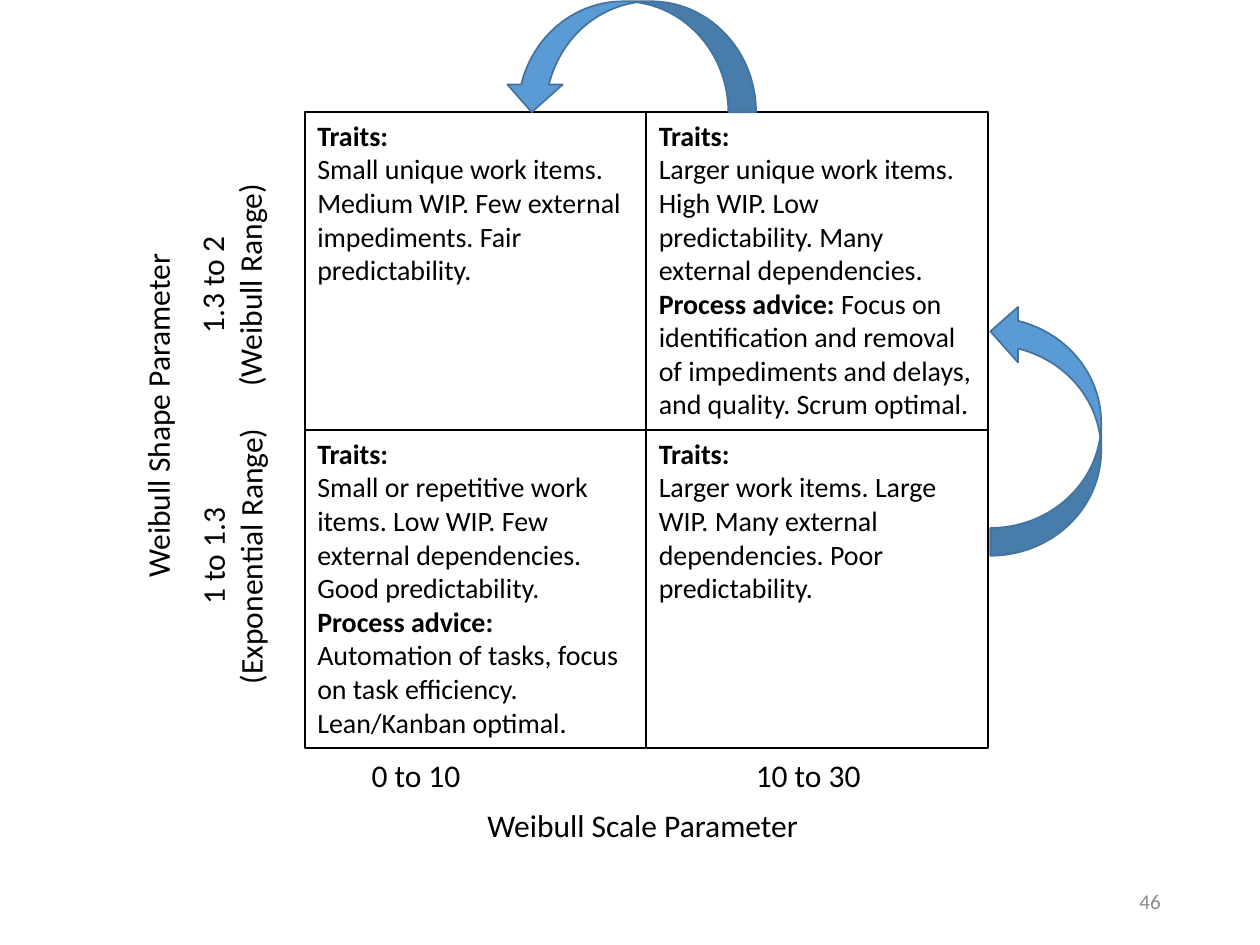
"""Build a two-by-two matrix of work traits by Weibull shape and scale parameters."""
from pptx import Presentation
from pptx.dml.color import RGBColor
from pptx.enum.shapes import MSO_SHAPE
from pptx.enum.text import MSO_ANCHOR, PP_ALIGN
from pptx.util import Inches, Pt

RECTANGLE, CURVED_ARROW = MSO_SHAPE.RECTANGLE, MSO_SHAPE.CURVED_UP_ARROW
TOP, MIDDLE = MSO_ANCHOR.TOP, MSO_ANCHOR.MIDDLE
LEFT, CENTER, RIGHT = PP_ALIGN.LEFT, PP_ALIGN.CENTER, PP_ALIGN.RIGHT
BLACK = RGBColor(0x00, 0x00, 0x00)
WHITE = RGBColor(0xFF, 0xFF, 0xFF)
GREY = RGBColor(0x8C, 0x8C, 0x8C)
BLUE = RGBColor(0x5B, 0x9B, 0xD5)
DARK_BLUE = RGBColor(0x43, 0x73, 0x9E)

TRAITS, ADVICE = "Traits:", "Process advice: "
MATRIX = [
    [
        ("Small unique work items. Medium WIP. Few external impediments. "
         "Fair predictability.", None),
        ("Larger unique work items. High WIP. Low predictability. "
         "Many external dependencies.",
         "Focus on identification and removal of impediments and delays, "
         "and quality. Scrum optimal."),
    ],
    [
        ("Small or repetitive work items. Low WIP. Few external dependencies. "
         "Good predictability.",
         "Automation of tasks, focus on task efficiency. Lean/Kanban optimal."),
        ("Larger work items. Large WIP. Many external dependencies. "
         "Poor predictability.", None),
    ],
]
GRID_LEFT, GRID_TOP, CELL_WIDTH, CELL_HEIGHT = 2.42, 0.89, 2.71, 2.525

LABELS = [
    ("0 to 10", (2.85, 5.95, 0.92, 0.4), 0, LEFT),
    ("10 to 30", (5.9, 5.95, 1.04, 0.4), 0, LEFT),
    ("Weibull Scale Parameter", (3.77, 6.35, 2.7, 0.4), 0, LEFT),
    ("Weibull Shape Parameter", (-0.15, 3.08, 2.8, 0.4), 270, LEFT),
    ("1.3 to 2\n(Weibull Range)", (0.92, 1.91, 1.83, 0.71), 270, CENTER),
    ("1 to 1.3\n(Exponential Range)", (0.71, 4.06, 2.26, 0.71), 270, CENTER),
]
ARROWS = [((7.3, 2.97, 2, 0.88), 270), ((4, 0.01, 2, 0.88), 180)]

LABEL_FONT = {"name": "Calibri", "size": Pt(18)}
CELL_FONT = {"name": "Calibri", "size": Pt(16)}
NUMBER_FONT = {"name": "Calibri", "size": Pt(12)}


def set_font(font, values, color=BLACK):
    for name, value in values.items():
        setattr(font, name, value)
    font.color.rgb = color


def add_label(page, text, place, rotation, align, values=LABEL_FONT, color=BLACK):
    box = page.shapes.add_textbox(*map(Inches, place))
    box.rotation = rotation
    box.text_frame.word_wrap = False
    para = box.text_frame.paragraphs[0]
    para.text = text
    para.alignment = align
    for span in para.runs:
        set_font(span.font, values, color)
    return box


def add_outlined(page, kind, place, fill, line):
    shape = page.shapes.add_shape(kind, *map(Inches, place))
    shape.shadow.inherit = False
    shape.fill.solid()
    shape.fill.fore_color.rgb = fill
    shape.line.color.rgb = line
    shape.line.width = Pt(1)
    return shape


def add_cell(page, row, column, traits, advice):
    place = (GRID_LEFT + column * CELL_WIDTH, GRID_TOP + row * CELL_HEIGHT,
             CELL_WIDTH, CELL_HEIGHT)
    frame = add_outlined(page, RECTANGLE, place, WHITE, BLACK).text_frame
    frame.word_wrap = True
    frame.vertical_anchor = TOP
    paragraphs = [[(TRAITS, True)], [(traits, False)]]
    if advice:
        paragraphs.append([(ADVICE, True), (advice, False)])
    for index, spans in enumerate(paragraphs):
        para = frame.add_paragraph() if index else frame.paragraphs[0]
        para.alignment = LEFT
        for text, bold in spans:
            span = para.add_run()
            span.text = text
            set_font(span.font, {**CELL_FONT, "bold": bold})


def main():
    deck = Presentation()
    deck.slide_width, deck.slide_height = Inches(10), Inches(7.5)
    page = deck.slides.add_slide(deck.slide_layouts[6])
    for row, cells in enumerate(MATRIX):
        for column, (traits, advice) in enumerate(cells):
            add_cell(page, row, column, traits, advice)
    for label in LABELS:
        add_label(page, *label)
    for place, rotation in ARROWS:
        add_outlined(page, CURVED_ARROW, place, BLUE, DARK_BLUE).rotation = rotation
    number = add_label(page, "46", (7.06, 6.95, 2.25, 0.4), 0, RIGHT, NUMBER_FONT, GREY)
    number.text_frame.word_wrap = True
    number.text_frame.vertical_anchor = MIDDLE
    deck.save("out.pptx")


if __name__ == "__main__":
    main()
